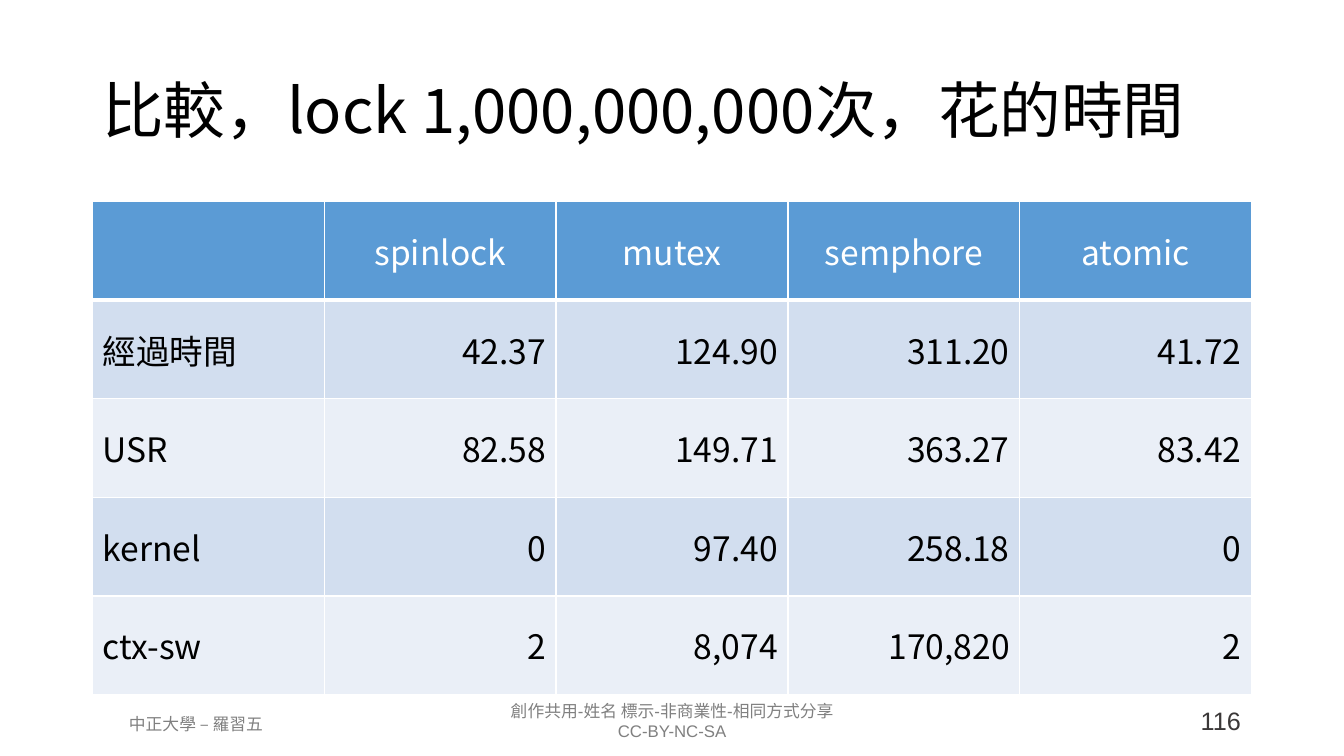
from lxml.etree import SubElement
from pptx import Presentation
from pptx.dml.color import RGBColor
from pptx.enum.text import MSO_ANCHOR as Anchor, PP_ALIGN as Align
from pptx.oxml.ns import qn
from pptx.util import Cm, Pt

CJK = "Noto Sans CJK SC"
HEADER_FILL = "5B9BD5"
BAND_FILLS = ("D2DEEF", "EAEFF7")
TIMINGS = [
    ["", "spinlock", "mutex", "semphore", "atomic"],
    ["經過時間", "42.37", "124.90", "311.20", "41.72"],
    ["USR", "82.58", "149.71", "363.27", "83.42"],
    ["kernel", "0", "97.40", "258.18", "0"],
    ["ctx-sw", "2", "8,074", "170,820", "2"],
]


def color(hex_code):
    return RGBColor.from_string(hex_code)


def style_text(frame, size, font, hex_code, align):
    for paragraph in frame.paragraphs:
        paragraph.alignment = align
        for run in paragraph.runs:
            run.font.size = Pt(size)
            run.font.name = font
            run.font.color.rgb = color(hex_code)
            east_asian = SubElement(run.font._element, qn("a:ea"))
            east_asian.set("typeface", CJK)


def add_text(slide, box, text, size, font, hex_code, align, anchor=Anchor.TOP):
    frame = slide.shapes.add_textbox(*map(Cm, box)).text_frame
    frame.word_wrap = True
    frame.vertical_anchor = anchor
    frame.text = text
    style_text(frame, size, font, hex_code, align)
    return frame


def border_cell(cell, bottom_width):
    properties = cell._tc.get_or_add_tcPr()
    widths = {"lnL": 1, "lnR": 1, "lnT": 1, "lnB": bottom_width}
    for index, (side, width) in enumerate(widths.items()):
        line = properties.makeelement(qn(f"a:{side}"), {"w": str(Pt(width))})
        fill = SubElement(line, qn("a:solidFill"))
        SubElement(fill, qn("a:srgbClr")).set("val", "FFFFFF")
        properties.insert(index, line)


def add_timing_table(slide, left, top, width, height):
    rows, columns = len(TIMINGS), len(TIMINGS[0])
    table = slide.shapes.add_table(
        rows, columns, Cm(left), Cm(top), Cm(width), Cm(height)
    ).table
    for row, values in enumerate(TIMINGS):
        header = row == 0
        for column, value in enumerate(values):
            cell = table.cell(row, column)
            cell.text = value
            cell.vertical_anchor = Anchor.MIDDLE
            cell.fill.solid()
            cell.fill.fore_color.rgb = color(
                HEADER_FILL if header else BAND_FILLS[(row - 1) % 2]
            )
            if header:
                align = Align.CENTER
            else:
                align = Align.RIGHT if column else Align.LEFT
            style_text(cell.text_frame, 24, CJK,
                       "FFFFFF" if header else "000000", align)
            for run in cell.text_frame.paragraphs[0].runs:
                run.font.bold = False
            border_cell(cell, 3 if header else 1)


def main():
    deck = Presentation()
    deck.slide_width, deck.slide_height = Cm(33.87), Cm(19.05)
    slide = deck.slides.add_slide(deck.slide_layouts[6])

    add_text(slide, (10.69, 17.53, 12.5, 1.27),
             "創作共用-姓名 標示-非商業性-相同方式分享\nCC-BY-NC-SA",
             12, "Arial", "808080", Align.CENTER)
    add_text(slide, (1.75, 17.86, 6.38, 0.76), "中正大學 – 羅習五",
             12, "Arial", "808080", Align.CENTER)
    add_text(slide, (25.3, 17.65, 6.22, 1.02), "116",
             18, "Arial", "3B3838", Align.RIGHT)
    title = add_text(slide, (2.33, 1.02, 29.21, 3.68),
                     "比較，lock 1,000,000,000次，花的時間",
                     44, CJK, "000000", Align.LEFT, Anchor.MIDDLE)
    title.paragraphs[0].line_spacing = 0.9
    add_timing_table(slide, 2.33, 5.08, 29.21, 12.42)

    deck.save("out.pptx")


if __name__ == "__main__":
    main()
